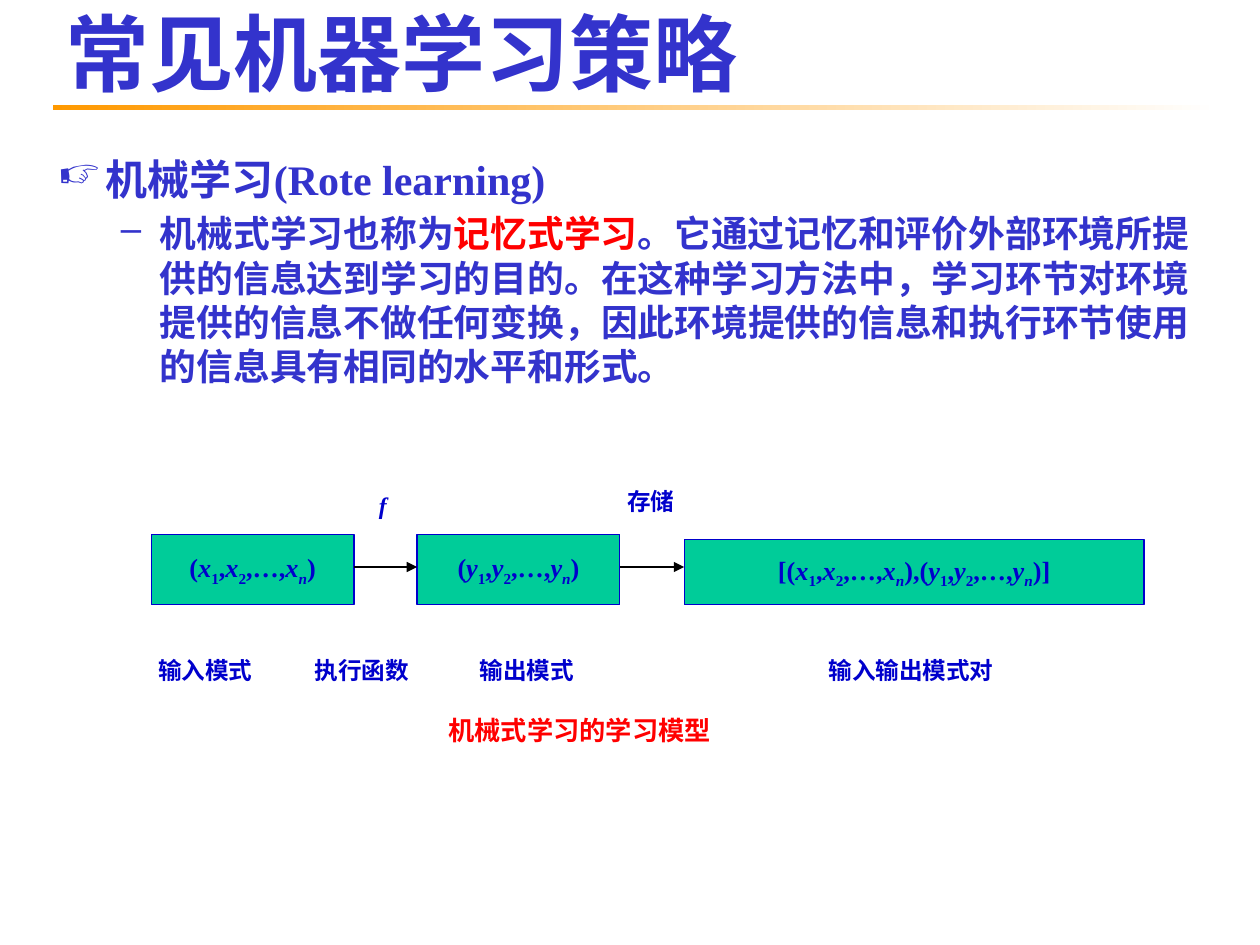
from pptx import Presentation
from pptx.dml.color import RGBColor
from pptx.enum.shapes import MSO_CONNECTOR, MSO_SHAPE
from pptx.enum.text import MSO_ANCHOR, PP_ALIGN
from pptx.oxml.ns import qn
from pptx.util import Inches, Pt
from lxml import etree

RECTANGLE, STRAIGHT = MSO_SHAPE.RECTANGLE, MSO_CONNECTOR.STRAIGHT
MIDDLE, CENTER = MSO_ANCHOR.MIDDLE, PP_ALIGN.CENTER
HAN, LATIN = "Noto Sans CJK SC", "Times New Roman"
INDIGO, BLUE, RED, GREEN = "3333CC", "0000CC", "FF0000", "00CC99"
ORANGE, WHITE, BLACK = "FF9900", "FFFFFF", "000000"

TITLE = "常见机器学习策略"
HEADING = [("机械学习", HAN), ("(Rote learning)", LATIN)]
DEFINITION = [
    ("机械式学习也称为", INDIGO),
    ("记忆式学习", RED),
    ("。它通过记忆和评价外部环境所提供的信息达到学习的目的。"
     "在这种学习方法中，学习环节对环境提供的信息不做任何变换，"
     "因此环境提供的信息和执行环节使用的信息具有相同的水平和形式。", INDIGO),
]
STAGES = [
    (1.2, 4.24, 1.61, 0.56, "(", "x", ")"),
    (3.31, 4.24, 1.61, 0.56, "(", "y", ")"),
    (5.43, 4.28, 3.65, 0.52, "[(", "xy", ")]"),
]
FLOW_Y = 4.5
LABELS = [
    (4.88, 3.81, 0.66, "存储"),
    (1.16, 5.15, 1.2, "输入模式"),
    (2.4, 5.15, 1.17, "执行函数"),
    (3.71, 5.15, 1.13, "输出模式"),
    (6.48, 5.15, 1.9, "输入输出模式对"),
]
CAPTION = "机械式学习的学习模型"


def color(value):
    """Turn a hex string into a colour."""
    return RGBColor.from_string(value)


def add_run(paragraph, text, size, font, tint, italic=False, subscript=False):
    """Add one bold run in the given style."""
    run = paragraph.add_run()
    run.text = text
    run.font.size, run.font.name = Pt(size), font
    run.font.bold, run.font.italic = True, italic
    run.font.color.rgb = color(tint)
    properties = run.font._element
    etree.SubElement(properties, qn("a:ea")).set("typeface", font)
    if subscript:
        properties.set("baseline", "-25000")


def add_frame(slide, left, top, width, height):
    """Add a wrapping text box and return its text frame."""
    box = slide.shapes.add_textbox(*map(Inches, (left, top, width, height)))
    box.text_frame.word_wrap = True
    return box.text_frame


def add_label(slide, left, top, width, text, size=13.5, tint=BLUE):
    """Add a one-line label in the Chinese font."""
    paragraph = add_frame(slide, left, top, width, 0.33).paragraphs[0]
    paragraph.line_spacing = Pt(size * 1.25)
    add_run(paragraph, text, size, HAN, tint)


def set_bullet(paragraph, mark, margin, hanging):
    """Give a paragraph a bullet and a hanging indent."""
    properties = paragraph._p.get_or_add_pPr()
    properties.set("marL", str(Inches(margin)))
    properties.set("indent", str(-Inches(hanging)))
    etree.SubElement(properties, qn("a:buChar")).set("char", mark)


def vector(opening, letters, closing):
    """List text, italic and subscript for the vectors of the letters."""
    parts = [(opening, False, False)]
    for position, letter in enumerate(letters):
        if position:
            parts.append(("),(", False, False))
        for index, after in (("1", ","), ("2", ",…,"), ("n", "")):
            parts += [(letter, True, False), (index, index == "n", True)]
            if after:
                parts.append((after, False, False))
    return parts + [(closing, False, False)]


def add_stage(slide, left, top, width, height, *notation):
    """Add a green box holding a vector formula."""
    stage = slide.shapes.add_shape(RECTANGLE, *map(Inches, (left, top, width, height)))
    stage.shadow.inherit = False
    stage.fill.solid()
    stage.fill.fore_color.rgb = color(GREEN)
    stage.line.color.rgb, stage.line.width = color(BLUE), Pt(0.75)
    frame = stage.text_frame
    frame.word_wrap, frame.vertical_anchor = False, MIDDLE
    formula = frame.paragraphs[0]
    formula.alignment = CENTER
    for text, italic, subscript in vector(*notation):
        add_run(formula, text, 15, LATIN, BLUE, italic, subscript)


def add_arrow(slide, start, end):
    """Add a horizontal arrow on the flow line."""
    arrow = slide.shapes.add_connector(
        STRAIGHT, *map(Inches, (start, FLOW_Y, end, FLOW_Y)))
    arrow.line.color.rgb, arrow.line.width = color(BLACK), Pt(0.75)
    etree.SubElement(arrow.line._get_or_add_ln(), qn("a:tailEnd")).set("type", "triangle")
    etree.SubElement(arrow._element.spPr, qn("a:effectLst"))


def add_header(slide):
    """Add the fading rule and the title."""
    rule = slide.shapes.add_shape(RECTANGLE, *map(Inches, (0.42, 0.83, 9.25, 0.04)))
    rule.shadow.inherit = False
    rule.line.fill.background()
    rule.fill.gradient()
    rule.fill.gradient_angle = 0
    for stop, tint in zip(rule.fill.gradient_stops, (ORANGE, WHITE)):
        stop.color.rgb = color(tint)
    frame = add_frame(slide, 0.42, 0, 9.58, 0.83)
    frame.vertical_anchor = MIDDLE
    add_run(frame.paragraphs[0], TITLE, 48, HAN, INDIGO)


def add_body(slide):
    """Add the heading and its definition."""
    frame = add_frame(slide, 0.39, 1.16, 9.33, 4.56)
    frame.margin_left = frame.margin_right = Inches(0.07)
    frame.margin_top = frame.margin_bottom = Inches(0.04)
    heading, definition = frame.paragraphs[0], frame.add_paragraph()
    set_bullet(heading, "☞", 0.38, 0.38)
    heading.line_spacing = Pt(30)
    for text, font in HEADING:
        add_run(heading, text, 24, font, INDIGO)
    definition.level = 1
    set_bullet(definition, "–", 0.81, 0.31)
    definition.line_spacing, definition.space_before = Pt(25.3), Pt(4.2)
    for text, tint in DEFINITION:
        add_run(definition, text, 21, HAN, tint)


def add_model(slide):
    """Add the stages, arrows and labels of the learning model."""
    for stage in STAGES:
        add_stage(slide, *stage)
    for before, after in zip(STAGES, STAGES[1:]):
        add_arrow(slide, before[0] + before[2], after[0])
    function = add_frame(slide, 2.91, 3.85, 0.33, 0.33).paragraphs[0]
    add_run(function, "f", 13.5, LATIN, BLUE, italic=True)
    for label in LABELS:
        add_label(slide, *label)
    add_label(slide, 3.46, 5.61, 2.74, CAPTION, 15, RED)


def main():
    """Build the slide and save it."""
    deck = Presentation()
    deck.slide_width, deck.slide_height = Inches(10), Inches(7.5)
    slide = deck.slides.add_slide(deck.slide_layouts[6])
    add_header(slide)
    add_body(slide)
    add_model(slide)
    deck.save("out.pptx")


if __name__ == "__main__":
    main()
